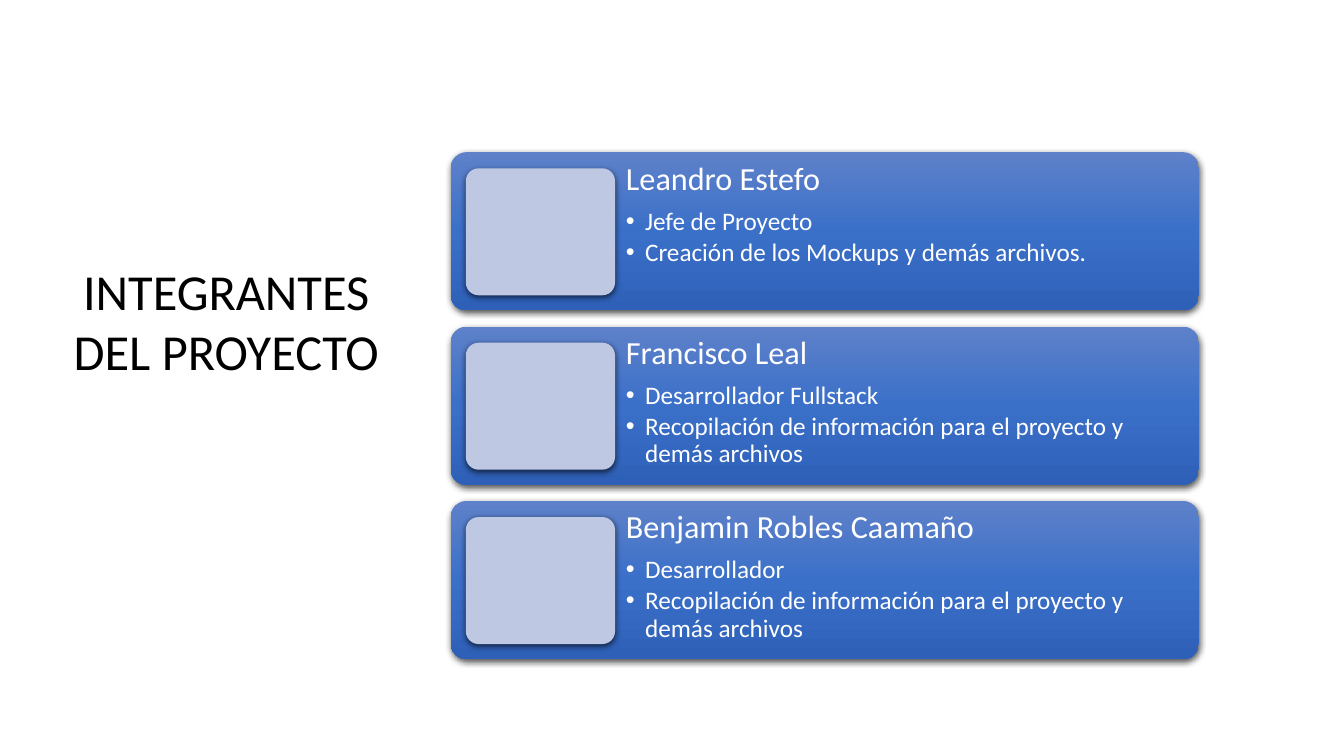
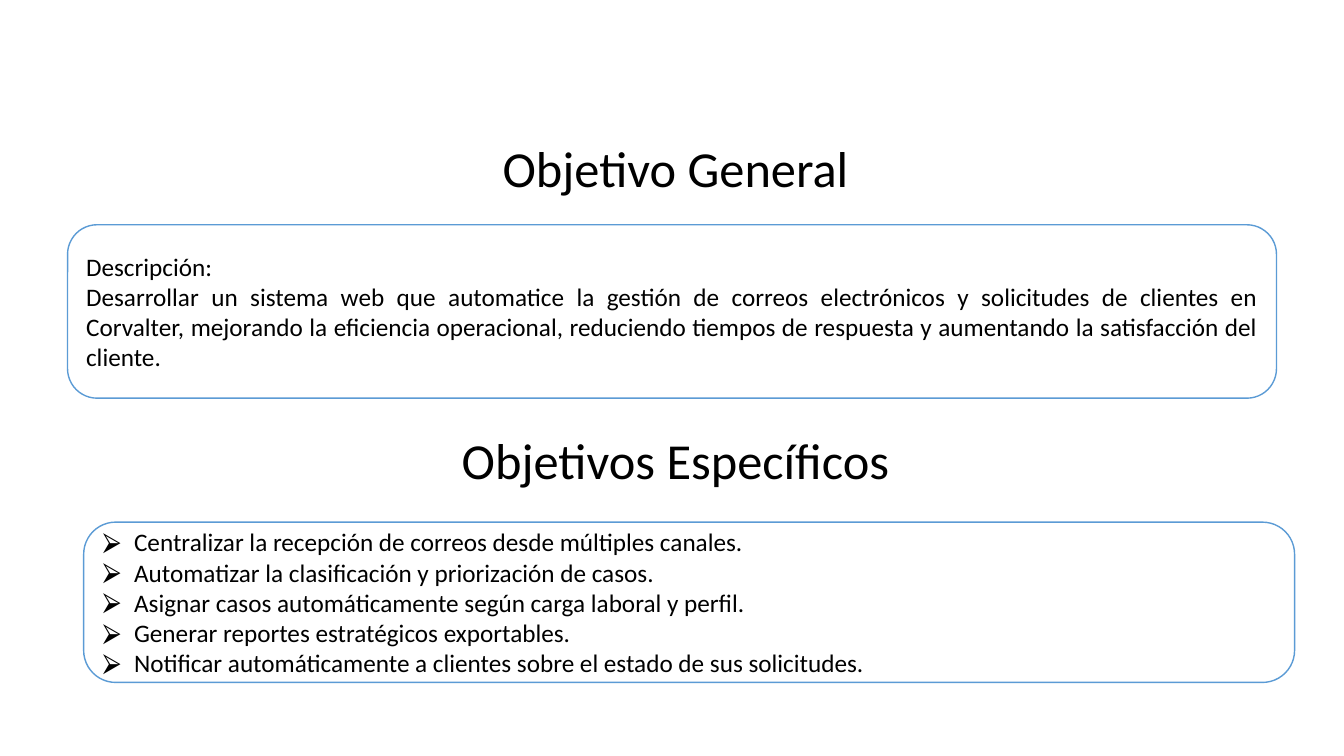
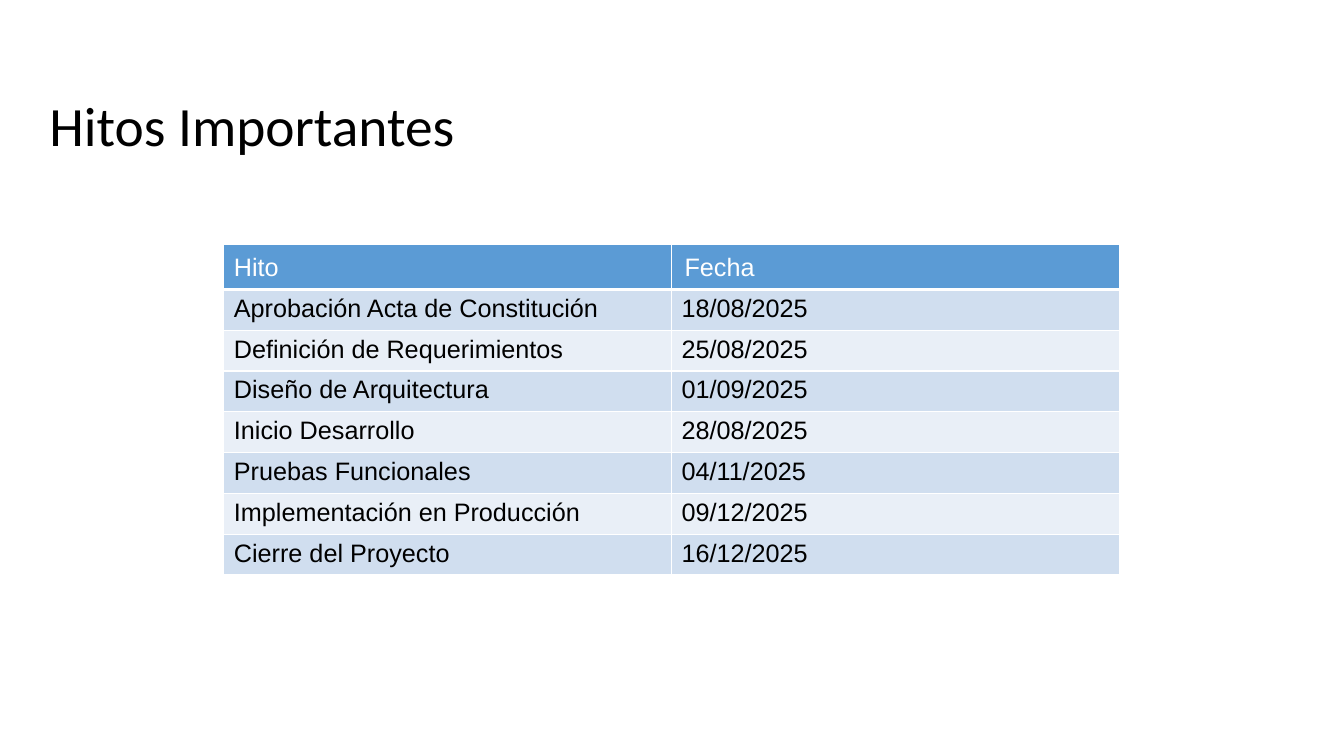
from copy import deepcopy

from lxml import etree
from pptx import Presentation
from pptx.dml.color import RGBColor
from pptx.enum.shapes import MSO_SHAPE
from pptx.enum.text import MSO_ANCHOR, MSO_AUTO_SIZE, PP_ALIGN
from pptx.oxml.ns import qn
from pptx.util import Inches, Pt

ROUNDED = MSO_SHAPE.ROUNDED_RECTANGLE
TOP, MIDDLE = MSO_ANCHOR.TOP, MSO_ANCHOR.MIDDLE
LEFT, CENTER, JUSTIFY = PP_ALIGN.LEFT, PP_ALIGN.CENTER, PP_ALIGN.JUSTIFY
NO_FIT = MSO_AUTO_SIZE.NONE

BLACK = RGBColor(0x00, 0x00, 0x00)
WHITE = RGBColor(0xFF, 0xFF, 0xFF)
ACCENT = RGBColor(0x5B, 0x9B, 0xD5)
PORTRAIT = RGBColor(0xBF, 0xC8, 0xE3)
BANDS = (RGBColor(0xD0, 0xDE, 0xEF), RGBColor(0xE9, 0xEF, 0xF7))
CARD_STOPS = (
    (0, RGBColor(0x5E, 0x81, 0xC9)),
    (0.5, RGBColor(0x3B, 0x70, 0xC9)),
    (1, RGBColor(0x2E, 0x60, 0xB8)),
)
BODY_FONT, TABLE_FONT = "Calibri", "Arial"
TITLE_ONLY, TITLE_AND_CONTENT = 5, 1

MEMBERS = (
    ("Leandro Estefo",
     ("Jefe de Proyecto", "Creación de los Mockups y demás archivos.")),
    ("Francisco Leal",
     ("Desarrollador Fullstack",
      "Recopilación de información para el proyecto y demás archivos")),
    ("Benjamin Robles Caamaño",
     ("Desarrollador",
      "Recopilación de información para el proyecto y demás archivos")),
)
DESCRIPTION = (
    "Descripción:",
    "Desarrollar un sistema web que automatice la gestión de correos electrónicos "
    "y solicitudes de clientes en Corvalter, mejorando la eficiencia operacional, "
    "reduciendo tiempos de respuesta y aumentando la satisfacción del cliente.",
)
GOALS = (
    "Centralizar la recepción de correos desde múltiples canales.",
    "Automatizar la clasificación y priorización de casos.",
    "Asignar casos automáticamente según carga laboral y perfil.",
    "Generar reportes estratégicos exportables.",
    "Notificar automáticamente a clientes sobre el estado de sus solicitudes.",
)
MILESTONES = (
    ("Hito", "Fecha"),
    ("Aprobación Acta de Constitución", "18/08/2025"),
    ("Definición de Requerimientos", "25/08/2025"),
    ("Diseño de Arquitectura", "01/09/2025"),
    ("Inicio Desarrollo", "28/08/2025"),
    ("Pruebas Funcionales", "04/11/2025"),
    ("Implementación en Producción", "09/12/2025"),
    ("Cierre del Proyecto", "16/12/2025"),
)


def place(shape, box):
    """Move a shape to a box given in inches."""
    shape.left, shape.top, shape.width, shape.height = map(Inches, box)


def style(paragraph, size, color=BLACK, font=BODY_FONT, align=LEFT, spacing=1, before=0):
    """Format one paragraph."""
    paragraph.font.size = Pt(size)
    paragraph.font.name = font
    paragraph.font.color.rgb = color
    paragraph.alignment = align
    paragraph.line_spacing = spacing
    paragraph.space_before = Pt(before)


def add_bullet(paragraph, mark, indent):
    """Give a paragraph a hanging bullet."""
    properties = paragraph._p.get_or_add_pPr()
    properties.set("marL", str(Inches(indent)))
    properties.set("indent", str(-Inches(indent)))
    etree.SubElement(properties, qn("a:buFont"), typeface=TABLE_FONT)
    etree.SubElement(properties, qn("a:buChar"), char=mark)


def write(frame, lines, anchor=TOP):
    """Fill a text frame with one paragraph per line and return the paragraphs."""
    frame.word_wrap = True
    frame.auto_size = NO_FIT
    frame.vertical_anchor = anchor
    frame.text = "\n".join(lines)
    return frame.paragraphs


def fill_heading(shape, text, box, size=36, align=CENTER, anchor=TOP, spacing=1):
    """Place and format a heading."""
    place(shape, box)
    style(write(shape.text_frame, [text], anchor)[0], size, align=align, spacing=spacing)


def add_panel(slide, box, radius, fill, line=None):
    """Add a flat rounded rectangle."""
    panel = slide.shapes.add_shape(ROUNDED, *map(Inches, box))
    panel.adjustments[0] = radius
    panel.shadow.inherit = False
    panel.fill.solid()
    panel.fill.fore_color.rgb = fill
    if line is None:
        panel.line.fill.background()
    else:
        panel.line.color.rgb = line
        panel.line.width = Pt(1)
    return panel


def add_shadow(shape):
    """Drop a soft shadow below a shape."""
    effects = shape._element.spPr.find(qn("a:effectLst"))
    shadow = etree.SubElement(effects, qn("a:outerShdw"), blurRad=str(Pt(4.5)),
                              dist=str(Pt(1.5)), dir="5400000", rotWithShape="0")
    color = etree.SubElement(shadow, qn("a:srgbClr"), val=str(BLACK))
    etree.SubElement(color, qn("a:alpha"), val="63000")


def shade_card(card):
    """Fill a card with the vertical three-stop gradient."""
    card.fill.gradient()
    card.fill.gradient_angle = 270
    stops = card._element.spPr.find(".//" + qn("a:gsLst"))
    stops.insert(1, deepcopy(stops[0]))
    for stop, (position, color) in zip(card.fill.gradient_stops, CARD_STOPS):
        stop.position = position
        stop.color.rgb = color


def add_member_card(slide, box, name, duties):
    """Add a team member's card with portrait area, name and duties."""
    left, top, width, height = box
    card = add_panel(slide, box, 0.1, CARD_STOPS[1][1])
    shade_card(card)
    portrait = add_panel(slide, (left + 0.15, top + 0.16, 1.48, height - 0.31), 0.1, PORTRAIT)
    for part in (card, portrait):
        add_shadow(part)
    text_box = (left + 1.64, top, width - 1.64, height)
    frame = slide.shapes.add_textbox(*map(Inches, text_box)).text_frame
    frame.margin_top = frame.margin_bottom = Inches(0.1)
    heading, *items = write(frame, (name, *duties))
    style(heading, 23, WHITE, spacing=0.9)
    for index, item in enumerate(items):
        style(item, 18, WHITE, spacing=0.9, before=2.7 if index else 8.1)
        add_bullet(item, "•", 0.19)


def add_cell_borders(cell, top, bottom):
    """Draw white cell borders with the given top and bottom widths."""
    properties = cell._tc.get_or_add_tcPr()
    widths = (("a:lnL", 1), ("a:lnR", 1), ("a:lnT", top), ("a:lnB", bottom))
    for index, (side, width) in enumerate(widths):
        line = etree.Element(qn(side), w=str(Pt(width)))
        fill = etree.SubElement(line, qn("a:solidFill"))
        etree.SubElement(fill, qn("a:srgbClr"), val=str(WHITE))
        properties.insert(index, line)


def add_milestones(slide, box):
    """Add the milestone table."""
    table = slide.shapes.add_table(len(MILESTONES), 2, *map(Inches, box)).table
    table.first_row = table.horz_banding = False
    for row, values in enumerate(MILESTONES):
        header = row == 0
        for column, value in enumerate(values):
            cell = table.cell(row, column)
            cell.text = value
            cell.fill.solid()
            cell.fill.fore_color.rgb = ACCENT if header else BANDS[(row - 1) % 2]
            if header:
                cell.vertical_anchor = MIDDLE
                cell.margin_top = cell.margin_bottom = Inches(0.08)
                cell.margin_left = Inches(0.13 if column else 0.1)
            style(cell.text_frame.paragraphs[0], 18, WHITE if header else BLACK,
                  TABLE_FONT, spacing=1.04 if header else 1)
            add_cell_borders(cell, 3 if row == 1 else 1, 3 if header else 1)


def build_team(slide):
    """Build the team slide."""
    fill_heading(slide.shapes.title, "INTEGRANTES DEL PROYECTO", (0.61, 2.53, 3.27, 1.31))
    for index, (name, duties) in enumerate(MEMBERS):
        add_member_card(slide, (4.47, 1.51 + 1.73 * index, 7.42, 1.57), name, duties)


def build_objectives(slide):
    """Build the slide with the general and specific objectives."""
    fill_heading(slide.shapes.title, "Objetivo General", (0.17, 1.31, 13.06, 0.71))
    subheading = slide.shapes.add_textbox(0, 0, 0, 0)
    fill_heading(subheading, "Objetivos Específicos", (0.17, 4.21, 13.06, 0.71))

    general = add_panel(slide, (0.67, 2.23, 11.99, 1.72), 0.17, WHITE, ACCENT)
    for line in write(general.text_frame, DESCRIPTION, MIDDLE):
        style(line, 18, align=JUSTIFY)

    goals_box = (0.83, 5.18, 12.01, 1.59)
    panel = add_panel(slide, goals_box, 0.2, WHITE, ACCENT)
    goals = slide.placeholders[1]
    panel._element.addnext(goals._element)
    left, top, width, height = goals_box
    place(goals, (left + 0.09, top, width - 0.18, height))
    for goal in write(goals.text_frame, GOALS, MIDDLE):
        style(goal, 18)
        add_bullet(goal, "⮚", 0.31)


def build_milestones(slide):
    """Build the milestone slide."""
    fill_heading(slide.shapes.title, "Hitos Importantes", (0.39, 0.93, 4.35, 0.7),
                 39.6, LEFT, MIDDLE, 0.9)
    add_milestones(slide, (2.22, 2.42, 8.88, 3.24))


def main():
    """Create and save the presentation."""
    deck = Presentation()
    deck.slide_width, deck.slide_height = Inches(13.33), Inches(7.5)
    for build, layout in (
        (build_team, TITLE_ONLY),
        (build_objectives, TITLE_AND_CONTENT),
        (build_milestones, TITLE_ONLY),
    ):
        build(deck.slides.add_slide(deck.slide_layouts[layout]))
    deck.save("out.pptx")


if __name__ == "__main__":
    main()
